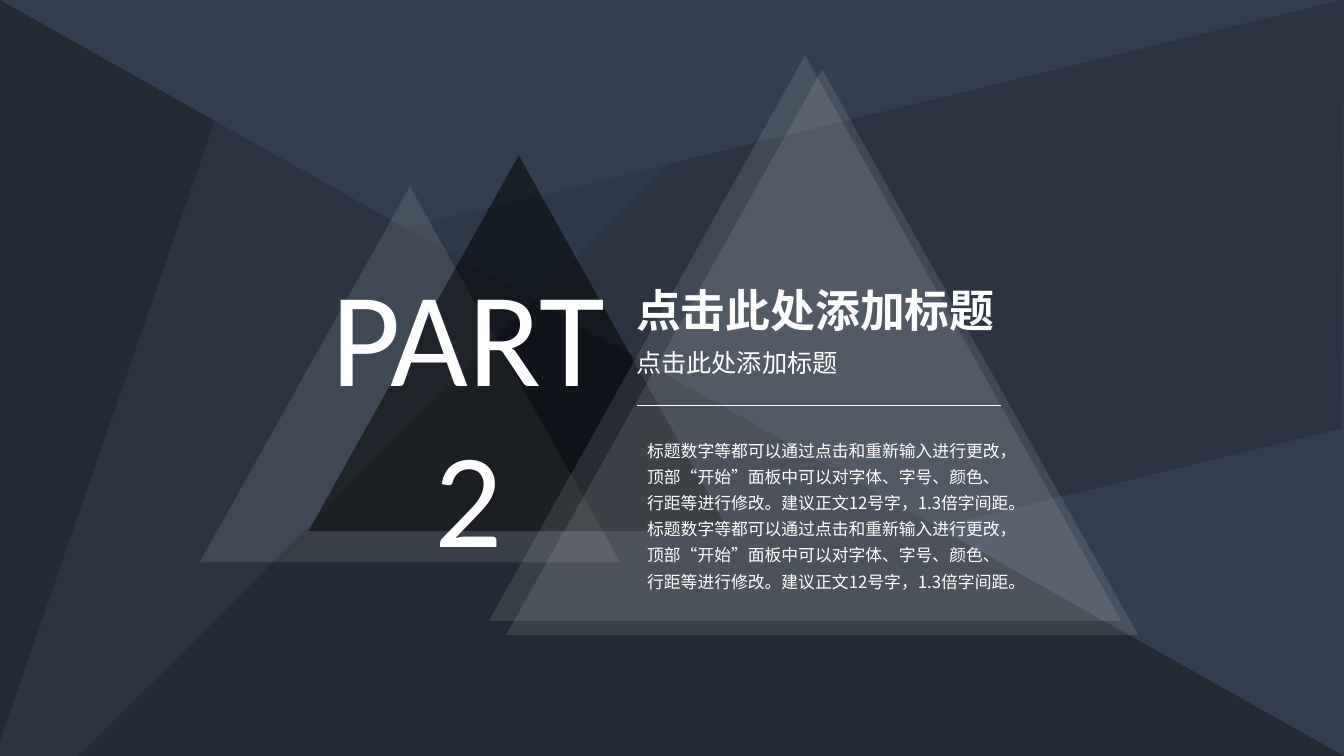
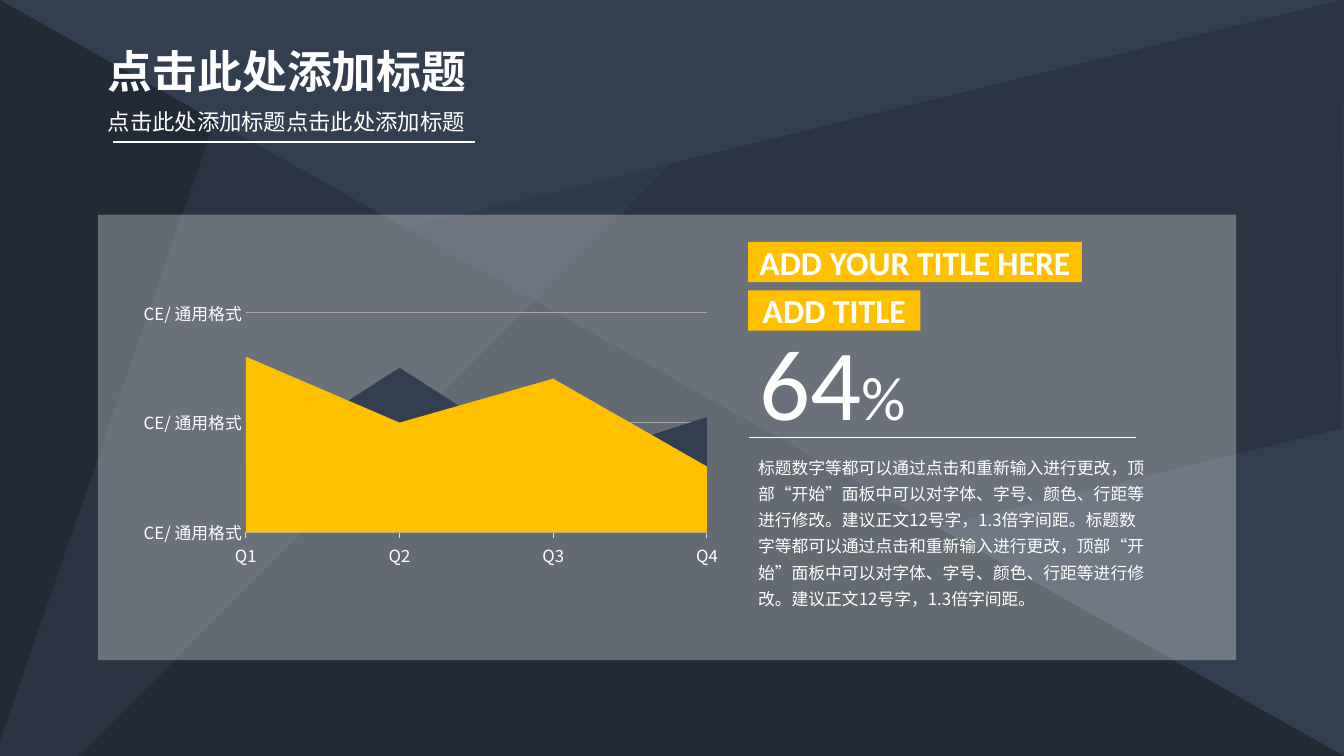
from lxml import etree
from pptx import Presentation
from pptx.chart.data import CategoryChartData
from pptx.dml.color import RGBColor
from pptx.enum.chart import XL_CHART_TYPE, XL_TICK_MARK
from pptx.enum.shapes import MSO_CONNECTOR, MSO_SHAPE
from pptx.enum.text import MSO_ANCHOR, MSO_AUTO_SIZE, PP_ALIGN
from pptx.oxml import parse_xml
from pptx.oxml.ns import nsdecls, qn
from pptx.util import Inches, Pt

AREA = XL_CHART_TYPE.AREA
OUT, NONE = XL_TICK_MARK.OUTSIDE, XL_TICK_MARK.NONE
STRAIGHT = MSO_CONNECTOR.STRAIGHT
RECT, SLANT = MSO_SHAPE.RECTANGLE, MSO_SHAPE.PARALLELOGRAM
PEAK = MSO_SHAPE.ISOSCELES_TRIANGLE
MIDDLE, GROW = MSO_ANCHOR.MIDDLE, MSO_AUTO_SIZE.SHAPE_TO_FIT_TEXT
LEFT, CENTER = PP_ALIGN.LEFT, PP_ALIGN.CENTER

WIDE, HIGH = 13.33, 7.5
COLORS = {
    "slate": "333F50", "night": "222A35", "white": "FFFFFF",
    "black": "000000", "gold": "FFC000", "axis": "D9D9D9", "grid": "A6A6A6",
}
LATIN, HAN = "Calibri", "Noto Sans CJK SC"
TITLE = "点击此处添加标题"
BODY = ("标题数字等都可以通过点击和重新输入进行更改，顶部“开始”面板中可以对"
        "字体、字号、颜色、行距等进行修改。建议正文12号字，1.3倍字间距。") * 2


def color(name):
    return RGBColor.from_string(COLORS[name])


def paint(fill, name):
    fill.solid()
    fill.fore_color.rgb = color(name)


def style(font, size, face, bold=False, hue="white"):
    font.size = Pt(size)
    font.name = face
    font.bold = bold
    font.color.rgb = color(hue)


def match_faces(root):
    """Give East Asian text the same face as Latin text."""
    for latin in list(root.iter(qn("a:latin"))):
        face = etree.Element(qn("a:ea"), typeface=latin.get("typeface"))
        latin.addnext(face)


def add_form(slide, kind, box, fill, alpha=100, turn=0, adj=None):
    form = slide.shapes.add_shape(kind, *map(Inches, box))
    form.shadow.inherit = False
    form.line.fill.background()
    paint(form.fill, fill)
    if alpha < 100:
        tone = form.element.find(".//" + qn("a:srgbClr"))
        etree.SubElement(tone, qn("a:alpha"), val=str(alpha * 1000))
    form.rotation = turn
    if adj is not None:
        form.adjustments[0] = adj
    return form


def add_line(slide, x, y, width, weight=0.5):
    line = slide.shapes.add_connector(
        STRAIGHT, Inches(x), Inches(y), Inches(x + width), Inches(y))
    line.line.color.rgb = color("white")
    line.line.width = Pt(weight)
    etree.SubElement(line.element.spPr, qn("a:effectLst"))


def write(para, runs, align=LEFT):
    """Add runs, each given as text, size, face and bold."""
    para.alignment = align
    for text, size, face, bold in runs:
        run = para.add_run()
        run.text = text
        style(run.font, size, face, bold)


def add_text(slide, box, paras, align=LEFT, space=None):
    frame = slide.shapes.add_textbox(*map(Inches, box)).text_frame
    frame.word_wrap = True
    frame.auto_size = GROW
    for i, runs in enumerate(paras):
        para = frame.add_paragraph() if i else frame.paragraphs[0]
        write(para, runs, align)
        if space:
            para.line_spacing = space


def add_body(slide, box):
    add_text(slide, box, [[(BODY, 12, HAN, False)]], space=1.3)


def add_head(slide, x, y, sub, size):
    add_text(slide, (x, y, 3.78, 0.64), [[(TITLE, 32, HAN, True)]])
    add_text(slide, (x, y + 0.64, 3.78, 0.4), [[(sub, size, HAN, False)]])


def add_base(deck):
    """Add a slide with the shared facets behind its content."""
    slide = deck.slides.add_slide(deck.slide_layouts[6])
    add_form(slide, PEAK, (0, 0, WIDE, HIGH), "night", adj=0)
    add_form(slide, SLANT, (-0.71, 1.68, 14.74, 4.13), "night", 50, 346.3)
    add_form(slide, PEAK, (1.18, -1.16, 5.41, 11.12), "slate", 50, 199.1, 1)
    return slide


def add_peaks(slide, x, y):
    small, large = (4.17, 3.73), (6.27, 5.61)
    peaks = [
        (0, 1.3, small, "white", 10), (1.08, 0.99, small, "black", 50),
        (2.87, 0, large, "white", 10), (3.04, 0.14, large, "white", 10),
    ]
    for dx, dy, size, fill, alpha in peaks:
        add_form(slide, PEAK, (x + dx, y + dy, *size), fill, alpha)


def add_part(deck):
    slide = add_base(deck)
    add_peaks(slide, 1.98, 0.55)
    label = [[(text, 96, LATIN, False)] for text in ("PART", "2")]
    add_text(slide, (3.06, 2.45, 3.17, 3.33), label, CENTER)
    add_head(slide, 6.21, 2.76, TITLE, 18)
    add_line(slide, 6.32, 4.02, 3.61)
    add_body(slide, (6.32, 4.26, 3.82, 1.65))


def set_plot(chart):
    """Fix the inner plot area as shares of the chart box."""
    spots = {"x": 0.19, "y": 0.07, "w": 0.77, "h": 0.79}
    parts = "".join(f'<c:{k}Mode val="edge"/>' for k in "xy")
    parts += "".join(f'<c:{k} val="{v}"/>' for k, v in spots.items())
    plan = parse_xml(
        f'<c:layout {nsdecls("c")}><c:manualLayout>'
        f'<c:layoutTarget val="inner"/>{parts}</c:manualLayout></c:layout>')
    area = chart.element.find(".//" + qn("c:plotArea"))
    for old in area.findall(qn("c:layout")):
        area.remove(old)
    area.insert(0, plan)


def add_area(slide, box):
    data = CategoryChartData()
    data.categories = ["Q1", "Q2", "Q3", "Q4"]
    data.add_series("Series 1", (32, 20, 28, 12))
    data.add_series("Series 2", (12, 30, 12, 21))
    chart = slide.shapes.add_chart(AREA, *map(Inches, box), data).chart
    chart.has_legend = chart.has_title = False
    style(chart.font, 10, LATIN, hue="black")
    plot = chart.plots[0]
    plot.vary_by_categories = False
    for series, fill in zip(plot.series, ("gold", "slate")):
        paint(series.format.fill, fill)
        series.format.line.fill.background()

    cats, vals = chart.category_axis, chart.value_axis
    for axis, tick in ((cats, OUT), (vals, NONE)):
        style(axis.tick_labels.font, 12, HAN)
        axis.major_tick_mark = tick
        axis.minor_tick_mark = NONE
    cats.has_major_gridlines = False
    vals.has_major_gridlines = True
    for line, tone in ((cats.format.line, "axis"),
                       (vals.major_gridlines.format.line, "grid")):
        line.color.rgb = color(tone)
        line.width = Pt(0.75)
    vals.format.line.fill.background()
    vals.minimum_scale, vals.maximum_scale, vals.major_unit = 0, 40, 20
    vals.tick_labels.number_format = '"CE/ 通用格式"'
    vals.tick_labels.number_format_is_linked = False
    cross = chart.element.find(".//" + qn("c:crossBetween"))
    cross.set("val", "midCat")
    set_plot(chart)
    match_faces(chart.element)


def add_facts(slide, x, y):
    tags = (("ADD YOUR TITLE HERE", 3.31), ("ADD TITLE", 1.71))
    for i, (text, width) in enumerate(tags):
        tag = add_form(slide, RECT, (x, y + i * 0.48, width, 0.4), "gold")
        frame = tag.text_frame
        frame.vertical_anchor = MIDDLE
        frame.word_wrap = True
        write(frame.paragraphs[0], [(text, 24, LATIN, True)], CENTER)
    share = [("64", 72, LATIN, False), ("%", 44, LATIN, False)]
    add_text(slide, (x + 0.01, y + 0.72, 1.78, 1.31), [share])
    add_line(slide, x + 0.01, y + 1.94, 3.84)
    add_body(slide, (x, y + 2.03, 4.04, 1.68))


def add_panel(slide, x, y):
    add_form(slide, RECT, (x, y, 11.29, 4.42), "white", 30)
    add_area(slide, (x + 0.34, y + 0.78, 5.94, 2.76))
    add_facts(slide, x + 6.45, y + 0.27)


def add_report(deck):
    slide = add_base(deck)
    add_panel(slide, 0.97, 2.13)
    add_head(slide, 0.97, 0.38, TITLE * 2, 16)
    add_line(slide, 1.12, 1.41, 3.59, 1)


def main():
    deck = Presentation()
    deck.slide_width, deck.slide_height = Inches(WIDE), Inches(HIGH)
    paint(deck.slide_master.background.fill, "slate")
    add_part(deck)
    add_report(deck)
    for slide in deck.slides:
        match_faces(slide.element)
    deck.save("out.pptx")


if __name__ == "__main__":
    main()
